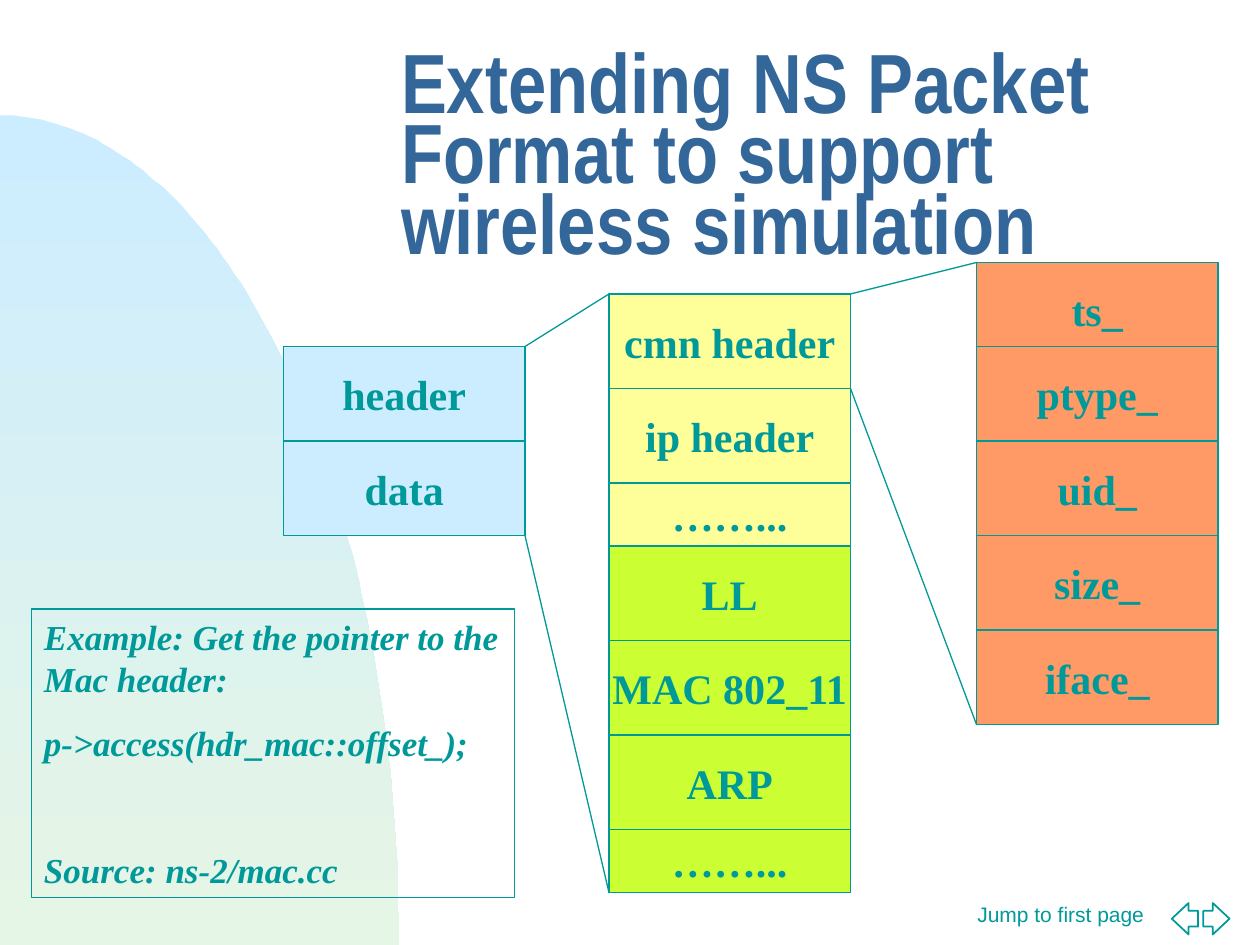
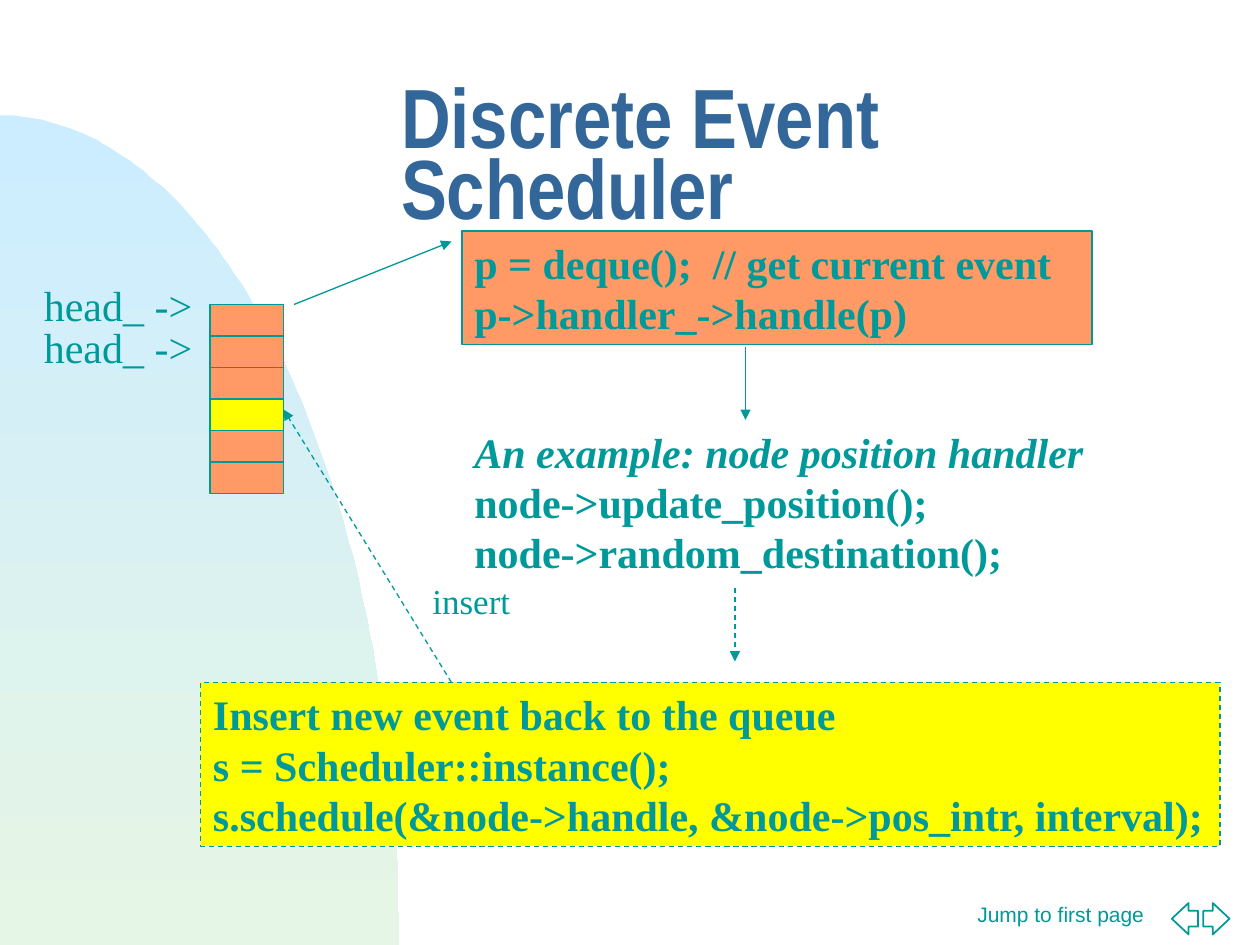
import math
from dataclasses import dataclass, field
from typing import Any

import pptx
import pptx.dml.color
import pptx.enum.dml
import pptx.enum.shapes
import pptx.enum.text
import pptx.oxml.ns
import pptx.oxml.xmlchemy
import pptx.shapes.base
import pptx.slide
import pptx.util

# Shared scale, colours and styles
PX = 7620  # EMU, 120 px to the inch
PAGE_WIDTH, PAGE_HEIGHT = 1200, 900

RGB = pptx.dml.color.RGBColor
TEAL = RGB(0x00, 0x99, 0x99)
NAVY = RGB(0x33, 0x66, 0x99)
WHITE = RGB(0xFF, 0xFF, 0xFF)
SKY = RGB(0xCC, 0xEC, 0xFF)
MINT = RGB(0xE6, 0xF6, 0xE6)
CREAM = RGB(0xFF, 0xFF, 0x99)
LIME = RGB(0xCC, 0xFF, 0x33)
ORANGE = RGB(0xFF, 0x99, 0x66)
YELLOW = RGB(0xFF, 0xFF, 0x00)

SHAPE = pptx.enum.shapes.MSO_SHAPE
ALIGN = pptx.enum.text.PP_ALIGN
ANCHOR = pptx.enum.text.MSO_ANCHOR
DASH = pptx.enum.dml.MSO_LINE.DASH
Pt = pptx.util.Pt

TITLE_FONT = {"name": "Arial Narrow", "size": Pt(48), "bold": True}
STRONG_FONT = {"name": "Times New Roman", "size": Pt(24), "bold": True}
PLAIN_FONT = {**STRONG_FONT, "bold": False}
INSERT_FONT = {**PLAIN_FONT, "size": Pt(20)}
EXAMPLE_FONT = {**STRONG_FONT, "size": Pt(20), "italic": True}
FOOTER_FONT = {"name": "Arial", "size": Pt(12)}


@dataclass
class Para:
    text: str
    format: dict[str, Any] = field(default_factory=dict)
    font: dict[str, Any] = field(default_factory=dict)


@dataclass
class Box:
    left: int
    top: int
    width: int
    height: int
    paras: list[Para] = field(default_factory=list)
    fill: RGB | None = None
    outlined: bool = True
    dash: Any = None
    font: dict[str, Any] = field(default_factory=lambda: STRONG_FONT)
    align: Any = ALIGN.LEFT
    anchor: Any = ANCHOR.TOP
    wrap: bool = True
    preset: Any = SHAPE.RECTANGLE
    weight: float = 0.75


@dataclass
class Cell:
    label: str
    height: int = 90
    overlap: int = 0


@dataclass
class Stack:
    left: int
    top: int
    fill: RGB
    cells: list[Cell]
    width: int = 230


@dataclass
class Line:
    start: tuple[int, int]
    end: tuple[int, int]
    arrow: bool = False
    dash: Any = None


# Drawing helpers
def apply(target: Any, values: dict[str, Any]) -> None:
    for name, value in values.items():
        setattr(target, name, value)


def place(shape: pptx.shapes.base.BaseShape, left: int, top: int, width: int, height: int) -> None:
    apply(shape, {"left": left * PX, "top": top * PX, "width": width * PX, "height": height * PX})


def write(shape: Any, box: Box) -> None:
    frame = shape.text_frame
    apply(frame, {"word_wrap": box.wrap, "vertical_anchor": box.anchor})
    for index, item in enumerate(box.paras):
        para = frame.add_paragraph() if index else frame.paragraphs[0]
        apply(para, {"alignment": box.align, **item.format})
        span = para.add_run()
        span.text = item.text
        apply(span.font, {**box.font, **item.font})
        span.font.color.rgb = TEAL


def draw_box(page: pptx.slide.Slide, box: Box) -> None:
    area = [n * PX for n in (box.left, box.top, box.width, box.height)]
    if not box.outlined:
        write(page.shapes.add_textbox(*area), box)
        return
    shape = page.shapes.add_shape(box.preset, *area)
    shape.shadow.inherit = False
    if box.fill is None:
        shape.fill.background()
    else:
        shape.fill.solid()
        shape.fill.fore_color.rgb = box.fill
    shape.line.color.rgb = TEAL
    apply(shape.line, {"width": Pt(box.weight), "dash_style": box.dash})
    if box.preset != SHAPE.RECTANGLE:
        shape.adjustments[1] = 0.64
    write(shape, box)


def draw_stack(page: pptx.slide.Slide, stack: Stack) -> None:
    top = stack.top
    for cell in stack.cells:
        paras = [Para(cell.label)] if cell.label else []
        draw_box(page, Box(stack.left, top, stack.width, cell.height, paras, stack.fill,
                           align=ALIGN.CENTER, anchor=ANCHOR.MIDDLE, wrap=False))
        top += cell.height - cell.overlap


def draw_line(page: pptx.slide.Slide, line: Line) -> None:
    ends = [n * PX for n in (*line.start, *line.end)]
    connector = page.shapes.add_connector(pptx.enum.shapes.MSO_CONNECTOR.STRAIGHT, *ends)
    connector.line.color.rgb = TEAL
    apply(connector.line, {"width": Pt(0.75), "dash_style": line.dash})
    properties = connector.element.spPr
    if line.arrow:
        tail = pptx.oxml.xmlchemy.OxmlElement("a:tailEnd")
        tail.set("type", "triangle")
        properties.find(pptx.oxml.ns.qn("a:ln")).append(tail)
    properties.append(pptx.oxml.xmlchemy.OxmlElement("a:effectLst"))


def draw_backdrop(page: pptx.slide.Slide) -> None:
    """Quarter ellipse rising from the lower left corner."""
    width, height, steps = 380, 790, 90
    angles = [math.pi / 2 * step / steps for step in range(steps + 1)]
    curve = [(width * math.sin(a), PAGE_HEIGHT - height * math.cos(a)) for a in angles]
    builder = page.shapes.build_freeform(0, PAGE_HEIGHT, scale=PX)
    builder.add_line_segments(curve, close=True)
    hill = builder.convert_to_shape()
    hill.shadow.inherit = False
    hill.line.fill.background()
    hill.fill.gradient()
    hill.fill.gradient_angle = 270
    for stop, colour in zip(hill.fill.gradient_stops, (SKY, MINT)):
        stop.color.rgb = colour


def add_page(deck: Any, title: str) -> pptx.slide.Slide:
    page = deck.slides.add_slide(deck.slide_layouts[5])
    draw_backdrop(page)
    # Footer with navigation arrows
    draw_box(page, Box(919, 853, 200, 55 - 8, [Para("Jump to first page", {"space_before": Pt(3)})],
                       outlined=False, font=FOOTER_FONT))
    for left, preset in ((1116, SHAPE.LEFT_ARROW), (1146, SHAPE.RIGHT_ARROW)):
        draw_box(page, Box(left, 860, 25, 30, fill=WHITE, preset=preset, weight=1))
    # Title
    heading = page.shapes.title
    place(heading, 370, 80, 800, 150)
    heading.text_frame.text = title
    apply(heading.text_frame, {"vertical_anchor": ANCHOR.MIDDLE, "word_wrap": True,
                               "auto_size": pptx.enum.text.MSO_AUTO_SIZE.NONE})
    para = heading.text_frame.paragraphs[0]
    apply(para, {"alignment": ALIGN.LEFT, "line_spacing": 0.7})
    apply(para.runs[0].font, TITLE_FONT)
    para.runs[0].font.color.rgb = NAVY
    return page


# Slide 1: packet format
def packet_format(deck: Any) -> None:
    page = add_page(deck, "Extending NS Packet Format to support wireless simulation")
    dots = Cell("……...", 60)
    stacks = [
        Stack(270, 330, SKY, [Cell("header"), Cell("data")]),
        Stack(580, 280, CREAM, [Cell("cmn header"), Cell("ip header"), dots]),
        Stack(580, 520, LIME, [Cell("LL"), Cell("MAC 802_11"), Cell("ARP"), dots]),
        Stack(930, 250, ORANGE, [Cell("ts_", overlap=10), Cell("ptype_"), Cell("uid_"),
                                 Cell("size_"), Cell("iface_")]),
    ]
    for stack in stacks:
        draw_stack(page, stack)
    # Lines that unfold one column into the next
    for start, end in [((500, 330), (580, 280)), ((500, 510), (580, 850)),
                       ((810, 280), (930, 250)), ((810, 370), (930, 690))]:
        draw_line(page, Line(start, end))
    gap = {"space_before": Pt(12.5)}
    draw_box(page, Box(30, 580, 460, 275, [
        Para("Example: Get the pointer to the Mac header:", gap),
        Para("p->access(hdr_mac::offset_);", gap),
        Para("Source: ns-2/mac.cc", {"space_before": Pt(48.5)}),
    ], font=EXAMPLE_FONT))


# Slide 2: event scheduler
def event_scheduler(deck: Any) -> None:
    page = add_page(deck, "Discrete Event Scheduler")
    # Event queue with the newly inserted entry
    for top, fill, count in ((290, ORANGE, 3), (380, YELLOW, 1), (410, ORANGE, 2)):
        draw_stack(page, Stack(200, top, fill, [Cell("", 30)] * count, 70))
    for top in (260, 300):
        draw_box(page, Box(30, top, 166, 60, [Para("head_ ->")], outlined=False,
                           font=PLAIN_FONT, wrap=False))
    # Handling steps
    draw_box(page, Box(440, 220, 600, 108, [
        Para("p = deque();  // get current event"),
        Para("p->handler_->handle(p)"),
    ], ORANGE))
    draw_box(page, Box(440, 400, 680, 156, [
        Para("An example: node position handler", font={"italic": True}),
        Para("node->update_position();"),
        Para("node->random_destination();"),
    ], outlined=False))
    draw_box(page, Box(191, 650, 971, 156, [
        Para("Insert new event back to the queue"),
        Para("s = Scheduler::instance();"),
        Para("s.schedule(&node->handle, &node->pos_intr, interval);"),
    ], YELLOW, dash=DASH, wrap=False))
    draw_box(page, Box(400, 546, 98, 53, [Para("insert")], outlined=False,
                       font=INSERT_FONT, wrap=False))
    # Flow arrows
    for start, end, dash in [((280, 290), (430, 230), None), ((710, 330), (710, 400), None),
                             ((700, 560), (700, 630), DASH), ((430, 650), (270, 390), DASH)]:
        draw_line(page, Line(start, end, True, dash))


def main() -> None:
    deck = pptx.Presentation()
    apply(deck, {"slide_width": PAGE_WIDTH * PX, "slide_height": PAGE_HEIGHT * PX})
    packet_format(deck)
    event_scheduler(deck)
    deck.save("out.pptx")


if __name__ == "__main__":
    main()
